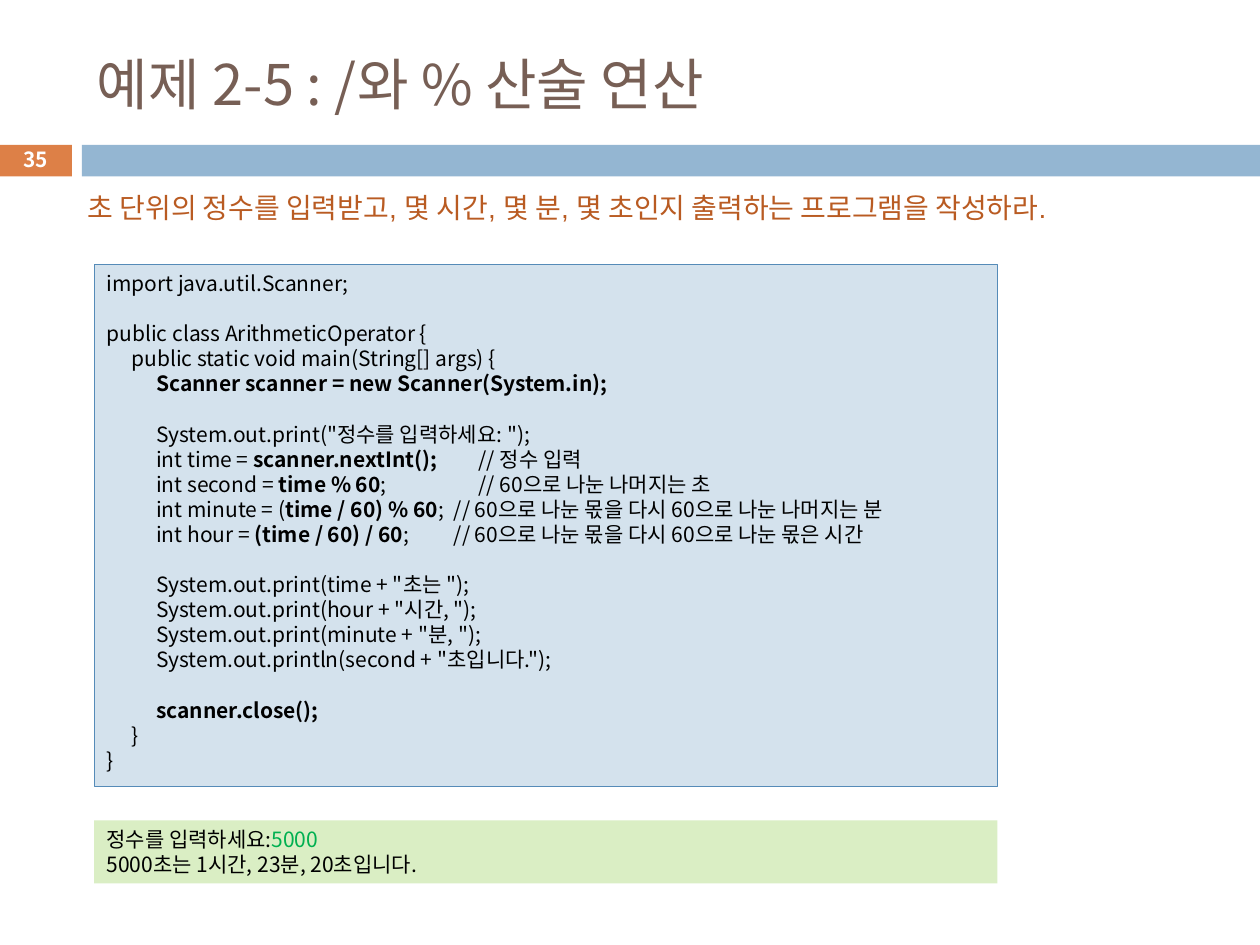
from lxml.etree import SubElement
from pptx import Presentation
from pptx.dml.color import RGBColor
from pptx.enum.shapes import MSO_SHAPE
from pptx.enum.text import MSO_ANCHOR, PP_ALIGN
from pptx.oxml.ns import qn
from pptx.util import Cm, Pt

HUES = {
    "orange": "DD8047", "blue": "94B6D2", "brown": "775F55", "rust": "B95B22",
    "pale": "D4E2ED", "edge": "558BB8", "lime": "DAEEC4", "green": "00B050",
    "black": "000000", "white": "FFFFFF",
}
FONT = "Noto Sans CJK KR"
LINE = Pt(14.35)
TAB = Cm(0.5)
STOPS = 16

# Each line lists its parts, plain and bold by turns; an empty line is a gap.
CODE = [
    ["import java.util.Scanner;"],
    [],
    ["public class ArithmeticOperator {"],
    ["\tpublic static void main(String[] args) {"],
    ["\t\t", "Scanner scanner = new Scanner(System.in);"],
    [],
    ["\t\tSystem.out.print(\"정수를 입력하세요: \");"],
    ["\t\tint time = ", "scanner.nextInt(); \t\t", "// 정수 입력"],
    ["\t\tint second = ", "time % 60", "; \t\t\t\t// 60으로 나눈 나머지는 초"],
    ["\t\tint minute = (", "time / 60) % 60",
     "; \t// 60으로 나눈 몫을 다시 60으로 나눈 나머지는 분"],
    ["\t\tint hour = ", "(time / 60) / 60",
     "; \t\t// 60으로 나눈 몫을 다시 60으로 나눈 몫은 시간"],
    [],
    ["\t\tSystem.out.print(time + \"초는 \");"],
    ["\t\tSystem.out.print(hour + \"시간, \");"],
    ["\t\tSystem.out.print(minute + \"분, \");"],
    ["\t\tSystem.out.println(second + \"초입니다.\");"],
    [],
    ["\t\t", "scanner.close();"],
    ["\t}"],
    ["}"],
]
RESULT = [
    [("정수를 입력하세요:", "black"), ("5000", "green")],
    [("5000초는 1시간, 23분, 20초입니다.", "black")],
]


def color(key):
    return RGBColor.from_string(HUES[key])


def add_run(para, text, size, hue, bold=False, font=FONT):
    run = para.add_run()
    run.text = text
    run.font.size = Pt(size)
    run.font.bold = bold
    run.font.color.rgb = color(hue)
    run.font.name = font
    SubElement(run._r.get_or_add_rPr(), qn("a:ea"), typeface=FONT)


def add_rect(slide, box, fill, edge=None):
    rect = slide.shapes.add_shape(MSO_SHAPE.RECTANGLE, *map(Cm, box))
    rect.shadow.inherit = False
    rect.fill.solid()
    rect.fill.fore_color.rgb = color(fill)
    if edge:
        rect.line.color.rgb = color(edge)
        rect.line.width = Pt(0.75)
    else:
        rect.line.fill.background()
    return rect


def add_label(slide, box, text, size, hue, **style):
    frame = slide.shapes.add_textbox(*map(Cm, box)).text_frame
    frame.word_wrap = True
    add_run(frame.paragraphs[0], text, size, hue, **style)
    return frame


def set_title(slide, box, text):
    title = slide.shapes.title
    title.left, title.top, title.width, title.height = map(Cm, box)
    frame = title.text_frame
    frame.vertical_anchor = MSO_ANCHOR.MIDDLE
    para = frame.paragraphs[0]
    para.alignment = PP_ALIGN.LEFT
    add_run(para, text, 32, "brown")


def add_tabs(para):
    tabs = SubElement(para._p.get_or_add_pPr(), qn("a:tabLst"))
    for stop in range(1, STOPS + 1):
        SubElement(tabs, qn("a:tab"), pos=str(stop * TAB), algn="l")


def fill_lines(rect, lines):
    """Write lines of (text, hue, bold) parts, with space for empty lines."""
    frame = rect.text_frame
    frame.word_wrap = True
    frame.vertical_anchor = MSO_ANCHOR.TOP
    para, gap = None, 0
    for line in lines:
        if not line:
            gap = LINE
            continue
        para = frame.add_paragraph() if para else frame.paragraphs[0]
        add_tabs(para)
        para.alignment = PP_ALIGN.LEFT
        para.line_spacing = LINE
        para.space_before = gap
        gap = 0
        for text, hue, *bold in line:
            add_run(para, text, 12, hue, *bold)


def main():
    deck = Presentation()
    deck.slide_width, deck.slide_height = Cm(25.4), Cm(19.05)
    slide = deck.slides.add_slide(deck.slide_layouts[5])

    add_rect(slide, (-0.02, 2.92, 1.47, 0.64), "orange")
    add_rect(slide, (1.65, 2.92, 23.75, 0.64), "blue")
    set_title(slide, (1.7, 0.64, 22.66, 2.08), "예제 2-5 : /와 % 산술 연산")

    code = add_rect(slide, (1.9, 5.33, 18.21, 10.52), "pale", "edge")
    fill_lines(code, [[(text, "black", spot % 2 == 1)
                       for spot, text in enumerate(line)] for line in CODE])

    add_label(slide, (1.52, 3.71, 22.83, 0.94),
              "초 단위의 정수를 입력받고, 몇 시간, 몇 분, 몇 초인지 출력하는 프로그램을 작성하라.",
              16, "rust", font="Arial")
    fill_lines(add_rect(slide, (1.9, 16.54, 18.21, 1.27), "lime"), RESULT)

    page = add_label(slide, (-0.02, 2.87, 1.47, 0.69), "35", 11.9, "white",
                     bold=True)
    page.vertical_anchor = MSO_ANCHOR.MIDDLE
    page.paragraphs[0].alignment = PP_ALIGN.CENTER

    deck.save("out.pptx")


if __name__ == "__main__":
    main()
